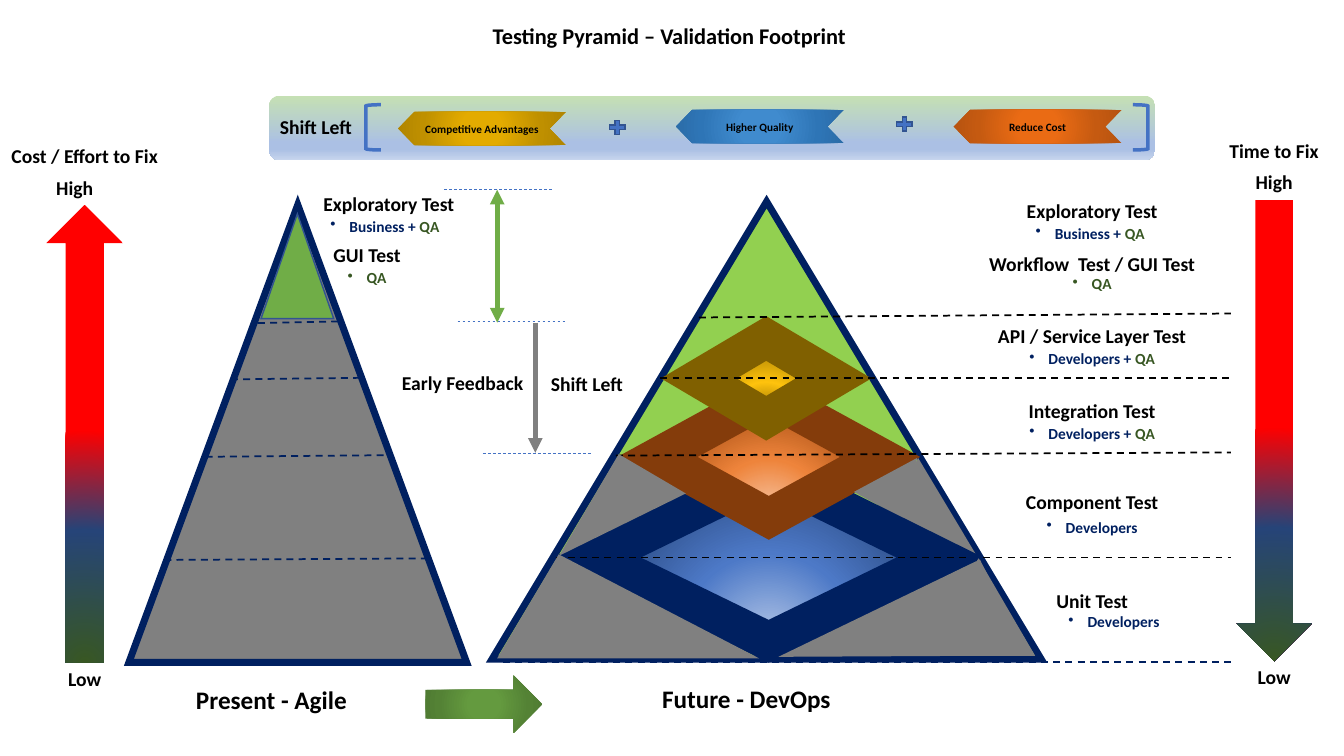
import dataclasses

import lxml.etree
import pptx
import pptx.dml.color
import pptx.enum.dml
import pptx.enum.shapes
import pptx.enum.text
import pptx.oxml.ns
import pptx.util

Cm, Pt = pptx.util.Cm, pptx.util.Pt
SHAPE = pptx.enum.shapes.MSO_SHAPE
DASH = pptx.enum.dml.MSO_LINE.DASH
qn = pptx.oxml.ns.qn


@dataclasses.dataclass(frozen=True)
class Theme:
    font = "Calibri"
    title, caption, heading, owner, ribbon = 16, 18, 14, 11, 8
    black, navy, gray = "000000", "002060", "808080"
    lime, green, dark_green = "92D050", "70AD47", "385723"
    blue, outline, brown, olive = "4472C4", "325491", "843C0B", "806000"
    banner = ((0, "C5E0B4"), (74, "ABC0E4"), (83, "ABC0E4"), (100, "C7D5ED"))
    scale = ((0, "385723"), (57, "264478"), (100, "FF0000"))
    blue_core = ((0, "B4C7E7"), (46, "4D79C7"), (100, "264478"))
    orange_core = ((0, "F8CBAD"), (46, "EE843B"), (100, "9E480E"))
    gold_core = ((0, "806000"), (46, "FFC30D"), (100, "997300"))
    gold = ((0, "E3AB00"), (23, "E3AB00"), (69, "BF9000"), (97, "B28600"))
    sky = ((0, "408BCE"), (23, "408BCE"), (69, "2E75B6"), (97, "2B6DA9"))
    orange = ((0, "EA6B14"), (23, "EA6B14"), (69, "C55A11"), (97, "B85410"))
    leaf = ((0, "649A3F"), (23, "649A3F"), (69, "548235"), (97, "4E7932"))


@dataclasses.dataclass(frozen=True)
class Box:
    """A region of the slide, in centimetres."""
    left: float
    top: float
    width: float
    height: float

    def inner(self, left, top, width, height):
        return Box(self.left + left, self.top + top, width, height)


THEME = Theme()
CENTER, BELOW = (50, 50, 50, 50), (50, 130, 50, -30)


def rgb(color):
    return pptx.dml.color.RGBColor.from_string(color)


def fill_gradient(shape, stops, focus):
    """Fill from a focus rectangle outwards, or downwards when focus is None."""
    shape.fill.background()
    no_fill = shape._element.spPr.find(qn("a:noFill"))
    gradient = lxml.etree.Element(qn("a:gradFill"), rotWithShape="1")
    stop_list = lxml.etree.SubElement(gradient, qn("a:gsLst"))
    for position, color in stops:
        stop = lxml.etree.SubElement(stop_list, qn("a:gs"), pos=str(position * 1000))
        lxml.etree.SubElement(stop, qn("a:srgbClr"), val=color)
    if focus is None:
        lxml.etree.SubElement(gradient, qn("a:lin"), ang="5400000", scaled="0")
    else:
        path = lxml.etree.SubElement(gradient, qn("a:path"), path="circle")
        edges = {side: str(value * 1000) for side, value in zip("ltrb", focus)}
        lxml.etree.SubElement(path, qn("a:fillToRect"), edges)
    no_fill.getparent().replace(no_fill, gradient)


def add_shape(slide, kind, box, fill=None, line=None, weight=1, focus=CENTER):
    shape = slide.shapes.add_shape(
        kind, Cm(box.left), Cm(box.top), Cm(box.width), Cm(box.height))
    shape.shadow.inherit = False
    if fill is None:
        shape.fill.background()
    elif isinstance(fill, str):
        shape.fill.solid()
        shape.fill.fore_color.rgb = rgb(fill)
    else:
        fill_gradient(shape, fill, focus)
    if line is None:
        shape.line.fill.background()
    else:
        shape.line.color.rgb = rgb(line)
        shape.line.width = Pt(weight)
        lxml.etree.SubElement(shape.line._get_or_add_ln(), qn("a:miter"), lim="800000")
    return shape


def add_line(slide, box, start, end, color, weight=1.25, dash=DASH, arrows=()):
    x1, y1, x2, y2 = (Cm(value) for value in (
        box.left + start[0], box.top + start[1], box.left + end[0], box.top + end[1]))
    connector = slide.shapes.add_connector(
        pptx.enum.shapes.MSO_CONNECTOR.STRAIGHT, x1, y1, x2, y2)
    connector.line.color.rgb = rgb(color)
    connector.line.width = Pt(weight)
    if dash is not None:
        connector.line.dash_style = dash
    for arrow in arrows:
        lxml.etree.SubElement(connector.line._get_or_add_ln(), qn(arrow), type="triangle")
    lxml.etree.SubElement(connector._element.spPr, qn("a:effectLst"))


def center_text(shape, size):
    frame = shape.text_frame
    frame.word_wrap = True
    frame.margin_left = frame.margin_right = 0
    frame.vertical_anchor = pptx.enum.text.MSO_ANCHOR.MIDDLE
    paragraph = frame.paragraphs[0]
    paragraph.alignment = pptx.enum.text.PP_ALIGN.CENTER
    font = paragraph.font
    font.name, font.size, font.bold = THEME.font, Pt(size), True
    font.color.rgb = rgb(THEME.black)
    return paragraph


def add_label(slide, box, x, y, text, size=THEME.heading, width=7.4):
    """Centre a line of text on a point of the box."""
    height = 1.04
    label = slide.shapes.add_textbox(
        Cm(box.left + x - width / 2), Cm(box.top + y - height / 2), Cm(width), Cm(height))
    label.text_frame.text = text
    return center_text(label, size)


def add_test_label(slide, box, x, y, title, owners, drop=0.58, shift=0, width=7.4):
    add_label(slide, box, x, y, title, width=width)
    paragraph = add_label(slide, box, x + shift, y + drop, "", THEME.owner, 4.62)
    properties = paragraph._p.get_or_add_pPr()
    properties.set("marL", str(Cm(0.48)))
    properties.set("indent", str(-Cm(0.48)))
    bullet = lxml.etree.Element(qn("a:buChar"), char="•")
    properties.insert(0, bullet)
    for index, owner in enumerate(owners):
        run = paragraph.add_run()
        run.text = owner if index == len(owners) - 1 else owner + " + "
        run.font.color.rgb = rgb(THEME.dark_green if owner == "QA" else THEME.navy)


def draw_banner(slide, box):
    add_shape(slide, SHAPE.ROUNDED_RECTANGLE, box, THEME.banner, focus=None)
    add_label(slide, box, 1.18, 0.77, "Shift Left", width=3.78)
    ribbons = (("Competitive Advantages", THEME.gold, 0.41),
               ("Higher Quality", THEME.sky, 0.36), ("Reduce Cost", THEME.orange, 0.36))
    for index, (text, fill, top) in enumerate(ribbons):
        ribbon = add_shape(slide, SHAPE.CHEVRON,
                           box.inner(3.25 + 7 * index, top, 4.24, 0.84), fill)
        ribbon._element.spPr.find(qn("a:xfrm")).set("flipH", "1")
        ribbon.text_frame.text = text
        center_text(ribbon, THEME.ribbon)
    for left, top in ((8.51, 0.56), (15.75, 0.48)):
        add_shape(slide, SHAPE.MATH_PLUS, box.inner(left, top, 0.53, 0.48),
                  THEME.blue, THEME.outline)
    for kind, left in ((SHAPE.LEFT_BRACKET, 2.44), (SHAPE.RIGHT_BRACKET, 21.77)):
        add_shape(slide, kind, box.inner(left, 0.23, 0.38, 1.14), None, THEME.blue, 2.5)


def draw_present_pyramid(slide, box):
    add_shape(slide, SHAPE.ISOSCELES_TRIANGLE, box, THEME.gray, THEME.navy, 5)
    add_shape(slide, SHAPE.ISOSCELES_TRIANGLE, box.inner(3.33, 0.23, 1.83, 2.64),
              THEME.green, THEME.outline)
    for x1, x2, y in ((3.25, 5.33, 2.96), (2.57, 5.89, 4.38),
                      (1.93, 6.53, 6.33), (0.89, 7.52, 8.93)):
        add_line(slide, box, (x1, y + 0.02), (x2, y - 0.02), THEME.navy)
    add_test_label(slide, box, 6.55, -0.04, "Exploratory Test", ("Business", "QA"),
                   shift=-0.1, width=4.57)
    add_test_label(slide, box, 6, 1.26, "GUI Test", ("QA",), width=2.79)
    add_label(slide, box, 3.59, 12.46, "Present - Agile", THEME.caption)


def draw_future_pyramid(slide, box):
    add_shape(slide, SHAPE.ISOSCELES_TRIANGLE, box, THEME.lime, THEME.navy, 5)
    for place, core, rim in (((2.64, 6.86, 8.66, 4.22), THEME.blue_core, THEME.navy),
                             ((4.17, 4.9, 5.61, 3.07), THEME.orange_core, THEME.brown),
                             ((5.21, 3.45, 3.4, 2.01), THEME.gold_core, THEME.olive)):
        add_shape(slide, SHAPE.DIAMOND, box.inner(*place), core, rim, 27.5, BELOW)
    for x, y1, y2, color in ((1.6, 8.97, 8.97, THEME.black), (3.12, 6.4, 6.32, THEME.black),
                             (4.24, 4.45, 4.45, THEME.black), (5.21, 2.92, 2.82, THEME.black),
                             (0.28, 11.61, 11.61, THEME.navy)):
        add_line(slide, box, (x, y1), (18.62, y2), color)
    triangle, corner = SHAPE.ISOSCELES_TRIANGLE, SHAPE.RIGHT_TRIANGLE
    for kind, place, turn, apex in (
            (triangle, (0.13, 8.89, 6.6, 2.62), 0, 0.235),
            (triangle, (7.52, 10.11, 5.64, 2.69), 154.2, 0),
            (triangle, (10.9, 8.99, 2.79, 2.46), 0, 0.487),
            (corner, (1.8, 7.16, 2.97, 1.96), 120.4, None),
            (corner, (10.29, 6.88, 2.34, 1.57), 25.2, None),
            (triangle, (9.4, 6.22, 1.37, 1.52), 28.8, 0.719)):
        side = add_shape(slide, kind, box.inner(*place), THEME.gray)
        side.rotation = turn
        if apex is not None:
            side.adjustments[0] = apex
    add_line(slide, box, (9.07, 7.42), (12.24, 8.99), THEME.navy, 4.75, None)
    add_label(slide, box, 6.41, 12.53, "Future - DevOps", THEME.caption)


def draw_test_levels(slide, box):
    for title, owners, y, drop, shift in (
            ("Exploratory Test", ("Business", "QA"), 0.52, 0.58, -0.05),
            ("Workflow  Test / GUI Test", ("QA",), 1.87, 0.5, 0),
            ("API / Service Layer Test", ("Developers", "QA"), 3.68, 0.57, 0),
            ("Integration Test", ("Developers", "QA"), 5.58, 0.55, 0),
            ("Component Test", ("Developers",), 7.87, 0.63, 0),
            ("Unit Test", ("Developers",), 10.35, 0.53, 0.55)):
        add_test_label(slide, box, box.width / 2, y, title, owners, drop, shift)


def draw_scale(slide, box, kind, heading, high_shift=0):
    add_shape(slide, kind, box, THEME.scale, focus=BELOW)
    middle = box.width / 2
    add_label(slide, box, middle, -1.23, heading, width=4.8)
    add_label(slide, box, middle + high_shift, -0.44, "High", width=2.59)
    add_label(slide, box, middle, box.height + 0.4, "Low", width=2.59)


def draw_feedback(slide, box):
    for x, y in ((1.57, 0), (1.9, 3.33), (2.54, 6.65)):
        add_line(slide, box, (x, y), (x + 2.77, y), THEME.blue, 0.5)
    add_line(slide, box, (2.9, 0), (2.9, 3.35), THEME.green, 3.5, None,
             ("a:headEnd", "a:tailEnd"))
    add_line(slide, box, (3.86, 3.35), (3.86, 6.63), THEME.gray, 3.5, None, ("a:tailEnd",))
    add_label(slide, box, 2.03, 4.86, "Early Feedback", width=4.06)
    add_label(slide, box, 5.16, 4.89, "Shift Left", width=3.25)


def main():
    presentation = pptx.Presentation()
    presentation.slide_width, presentation.slide_height = Cm(33.87), Cm(19.05)
    slide = presentation.slides.add_slide(presentation.slide_layouts[6])
    add_label(slide, Box(0.74, 0.25, 32.26, 1.27), 16.13, 0.64,
              "Testing Pyramid – Validation Footprint", THEME.title, 32.26)
    draw_banner(slide, Box(6.78, 2.41, 22.33, 1.63))
    draw_future_pyramid(slide, Box(12.4, 5.08, 13.84, 11.53))
    draw_test_levels(slide, Box(23.83, 4.78, 7.39, 11.4))
    draw_scale(slide, Box(31.17, 5.03, 1.88, 11.63), SHAPE.DOWN_ARROW, "Time to Fix")
    draw_scale(slide, Box(1.17, 5.16, 1.93, 11.53), SHAPE.UP_ARROW,
               "Cost / Effort to Fix", -0.25)
    draw_present_pyramid(slide, Box(3.25, 5.16, 8.51, 11.53))
    draw_feedback(slide, Box(9.63, 4.78, 6.78, 6.65))
    add_shape(slide, SHAPE.RIGHT_ARROW, Box(10.72, 17.02, 2.95, 1.45), THEME.leaf)
    presentation.save("out.pptx")


if __name__ == "__main__":
    main()
